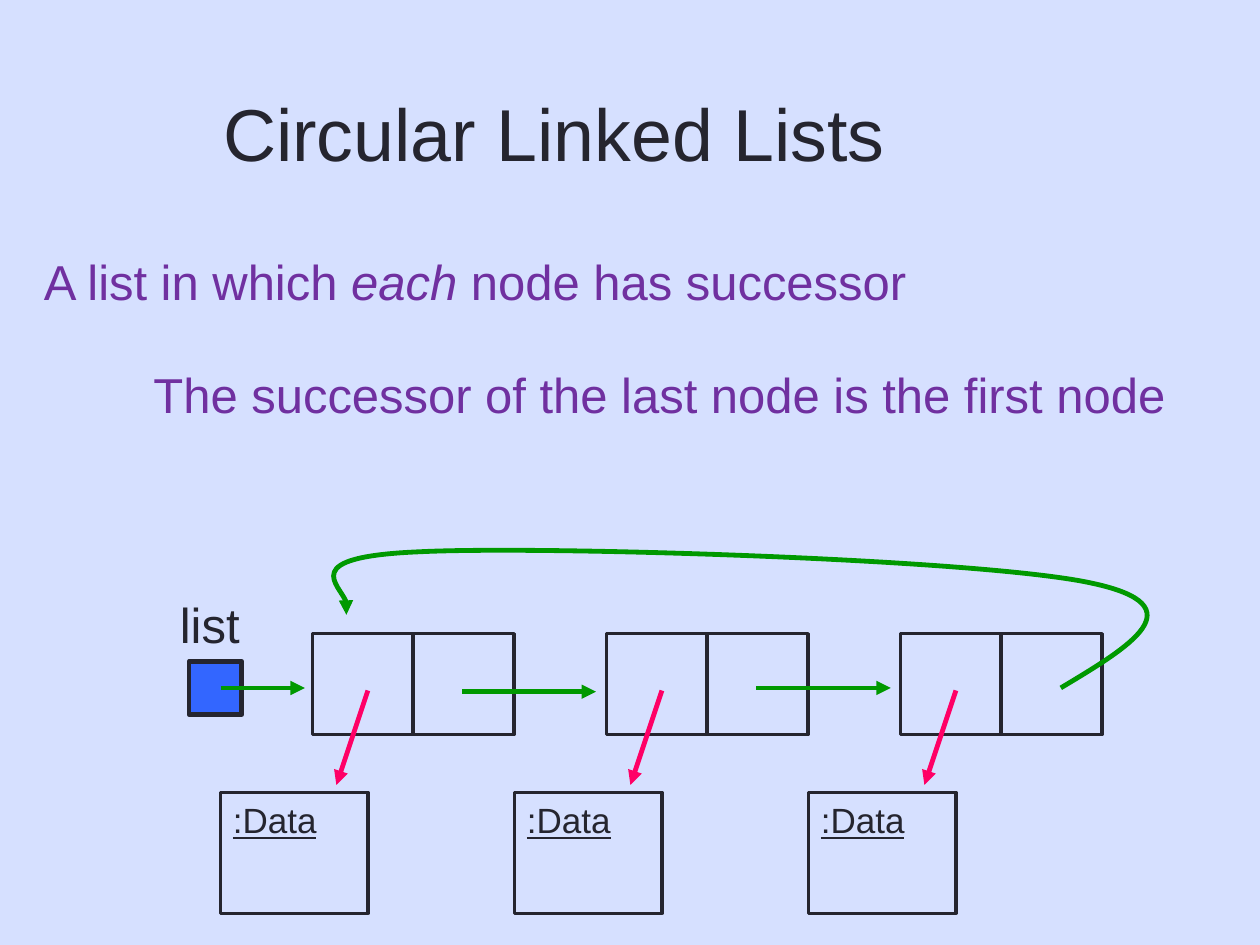
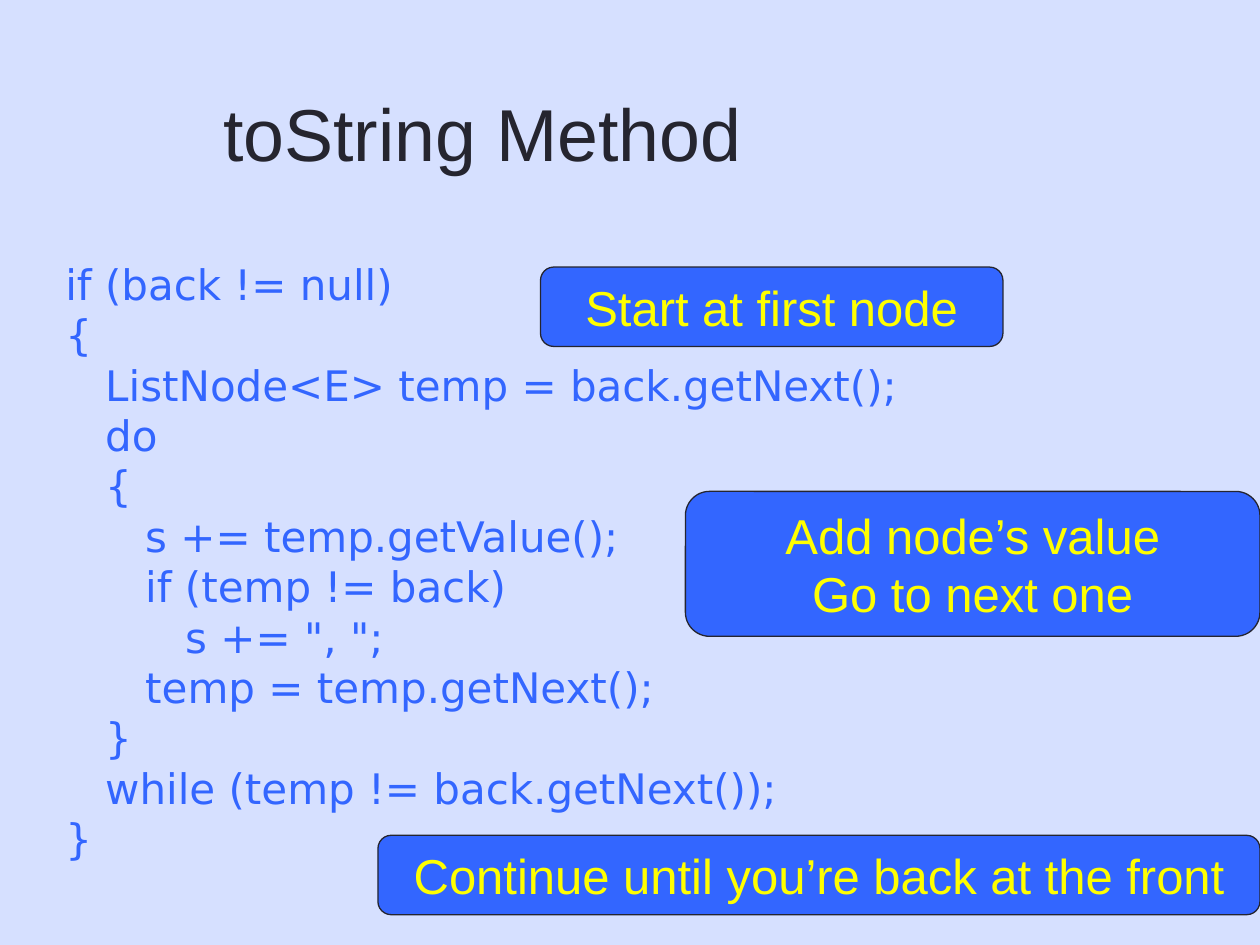
from dataclasses import dataclass

from lxml.etree import SubElement
from pptx import Presentation
from pptx.dml.color import RGBColor
from pptx.dml.line import LineFormat
from pptx.enum.shapes import MSO_CONNECTOR, MSO_SHAPE
from pptx.enum.text import MSO_ANCHOR, MSO_AUTO_SIZE, PP_ALIGN
from pptx.oxml.ns import qn
from pptx.shapes.autoshape import Shape
from pptx.slide import Slide, SlideLayout
from pptx.text.text import TextFrame, _Paragraph
from pptx.util import Inches, Pt


@dataclass(frozen=True)
class Theme:
    background: RGBColor = RGBColor(0xD6, 0xE0, 0xFF)
    ink: RGBColor = RGBColor(0x25, 0x25, 0x2F)
    blue: RGBColor = RGBColor(0x33, 0x66, 0xFF)
    purple: RGBColor = RGBColor(0x70, 0x30, 0xA0)
    yellow: RGBColor = RGBColor(0xFF, 0xFF, 0x00)
    green: RGBColor = RGBColor(0x00, 0x99, 0x00)
    pink: RGBColor = RGBColor(0xFF, 0x00, 0x66)
    font: str = "Arial"
    code_font: str = "DejaVu Sans"
    title_size: Pt = Pt(42)
    text_size: Pt = Pt(28)
    code_size: Pt = Pt(24)
    code_leading: Pt = Pt(28.8)
    label_size: Pt = Pt(20)
    arrow_width: Pt = Pt(2.75)
    box_width: Pt = Pt(2)
    callout_width: Pt = Pt(0.75)


@dataclass(frozen=True)
class Box:
    left: float
    top: float
    width: float
    height: float

    def shifted(self, dx: float) -> "Box":
        return Box(self.left + dx, self.top, self.width, self.height)

    def emu(self) -> tuple:
        return tuple(Inches(v) for v in (self.left, self.top, self.width, self.height))


@dataclass(frozen=True)
class Arrow:
    x1: float
    y1: float
    x2: float
    y2: float
    color: RGBColor

    def shifted(self, dx: float) -> "Arrow":
        return Arrow(self.x1 + dx, self.y1, self.x2 + dx, self.y2, self.color)


@dataclass(frozen=True)
class Callout:
    box: Box
    lines: tuple


THEME = Theme()
NODE_COUNT = 3
NODE_PITCH = 7 / 3
CELL = Box(2.48, 5.03, 0.8, 0.8)
DATA_BOX = Box(1.75, 6.29, 1.17, 0.96)
DATA_ARROW = Arrow(2.92, 5.48, 2.67, 6.23, THEME.pink)
LINK_ARROWS = (
    Arrow(1.75, 5.46, 2.42, 5.46, THEME.green),
    Arrow(3.67, 5.49, 4.73, 5.49, THEME.green),
    Arrow(6, 5.46, 7.07, 5.46, THEME.green),
)
RETURN_CURVE = (
    (8.42, 5.46),
    (8.97, 5.13), (9.51, 4.81), (8.67, 4.63),
    (7.82, 4.44), (4.32, 4.33), (3.33, 4.38),
    (2.35, 4.42), (2.85, 4.79), (2.75, 4.88),
)
CODE = """if (back != null)
{
   ListNode<E> temp = back.getNext();
   do
   {
      s += temp.getValue();
      if (temp != back)
         s += ", ";
      temp = temp.getNext();
   }
   while (temp != back.getNext());
}"""
CALLOUTS = (
    Callout(Box(4.29, 2.12, 3.67, 0.63), ("Start at first node",)),
    Callout(Box(5.44, 3.9, 4.56, 1.15), ("Add node’s value", "Go to next one")),
    Callout(Box(3, 6.63, 7, 0.63), ("Continue until you’re back at the front",)),
)


def style(p: _Paragraph, size: Pt, color: RGBColor, name: str = THEME.font,
          align: PP_ALIGN = PP_ALIGN.LEFT) -> None:
    p.alignment = align
    p.font.name = name
    p.font.size = size
    p.font.color.rgb = color


def add_text(s: Slide, box: Box) -> TextFrame:
    tf = s.shapes.add_textbox(*box.emu()).text_frame
    tf.word_wrap = True
    return tf


def set_line(line: LineFormat, color: RGBColor, width: Pt) -> None:
    line.color.rgb = color
    line.width = width


def add_box(s: Slide, box: Box, width: Pt, fill: RGBColor | None = None,
            kind: MSO_SHAPE = MSO_SHAPE.RECTANGLE) -> Shape:
    sp = s.shapes.add_shape(kind, *box.emu())
    sp.shadow.inherit = False
    if fill is None:
        sp.fill.background()
    else:
        sp.fill.solid()
        sp.fill.fore_color.rgb = fill
    set_line(sp.line, THEME.ink, width)
    return sp


def add_arrowhead(line: LineFormat) -> None:
    SubElement(line._get_or_add_ln(), qn("a:tailEnd"), type="triangle")


def add_arrow(s: Slide, arrow: Arrow) -> None:
    ends = (Inches(v) for v in (arrow.x1, arrow.y1, arrow.x2, arrow.y2))
    cxn = s.shapes.add_connector(MSO_CONNECTOR.STRAIGHT, *ends)
    set_line(cxn.line, arrow.color, THEME.arrow_width)
    add_arrowhead(cxn.line)
    SubElement(cxn._element.spPr, qn("a:effectLst"))


def add_curved_arrow(s: Slide, points: tuple, color: RGBColor) -> None:
    start, *controls = [(Inches(x), Inches(y)) for x, y in points]
    builder = s.shapes.build_freeform(*start)
    builder.add_line_segments(controls, close=False)
    sp = builder.convert_to_shape()
    sp.shadow.inherit = False
    sp.fill.background()
    set_line(sp.line, color, THEME.arrow_width)
    add_arrowhead(sp.line)
    outline = next(sp._element.iter(qn("a:path")))
    segments = outline.findall(qn("a:lnTo"))
    for i in range(0, len(segments), 3):
        curve = SubElement(outline, qn("a:cubicBezTo"))
        for segment in segments[i:i + 3]:
            curve.append(segment[0])
            outline.remove(segment)


def add_titled_slide(prs: Presentation, layout: SlideLayout, title: str) -> Slide:
    s = prs.slides.add_slide(layout)
    tf = s.shapes.title.text_frame
    tf.text = title
    tf.vertical_anchor = MSO_ANCHOR.MIDDLE
    tf.auto_size = MSO_AUTO_SIZE.NONE
    style(tf.paragraphs[0], THEME.title_size, THEME.ink)
    return s


def add_statement(s: Slide, box: Box, *parts: str, italic: str = "") -> None:
    p = add_text(s, box).paragraphs[0]
    style(p, THEME.text_size, THEME.purple)
    for part in parts:
        r = p.add_run()
        r.text = part
        if part == italic:
            r.font.italic = True


def add_node(s: Slide, dx: float) -> None:
    cell = CELL.shifted(dx)
    add_box(s, cell, THEME.box_width)
    add_box(s, cell.shifted(CELL.width), THEME.box_width)
    tf = add_box(s, DATA_BOX.shifted(dx), THEME.box_width).text_frame
    tf.text = ":Data"
    tf.vertical_anchor = MSO_ANCHOR.TOP
    style(tf.paragraphs[0], THEME.label_size, THEME.ink)
    tf.paragraphs[0].font.underline = True
    add_arrow(s, DATA_ARROW.shifted(dx))


def add_callout(s: Slide, callout: Callout) -> None:
    sp = add_box(s, callout.box, THEME.callout_width, THEME.blue,
                 MSO_SHAPE.ROUNDED_RECTANGLE)
    tf = sp.text_frame
    tf.text = "\n".join(callout.lines)
    tf.vertical_anchor = MSO_ANCHOR.MIDDLE
    for p in tf.paragraphs:
        style(p, THEME.text_size, THEME.yellow, align=PP_ALIGN.CENTER)


def build_list_slide(prs: Presentation, layout: SlideLayout) -> None:
    s = add_titled_slide(prs, layout, "Circular Linked Lists")
    add_statement(s, Box(0.25, 1.95, 7.09, 0.57),
                  "A list in which ", "each", " node has successor", italic="each")
    add_statement(s, Box(1.12, 2.84, 8.3, 0.57),
                  "The successor of the last node is the first node")
    tf = add_text(s, Box(1.25, 4.67, 0.83, 0.57))
    tf.text = "list"
    style(tf.paragraphs[0], THEME.text_size, THEME.ink, align=PP_ALIGN.CENTER)
    add_box(s, Box(1.5, 5.25, 0.42, 0.42), THEME.arrow_width, THEME.blue)
    for i in range(NODE_COUNT):
        add_node(s, i * NODE_PITCH)
    for arrow in LINK_ARROWS:
        add_arrow(s, arrow)
    add_curved_arrow(s, RETURN_CURVE, THEME.green)


def build_code_slide(prs: Presentation, layout: SlideLayout) -> None:
    s = add_titled_slide(prs, layout, "toString Method")
    tf = add_text(s, Box(0.42, 2, 8.67, 4.95))
    tf.text = CODE
    for p in tf.paragraphs:
        p.line_spacing = THEME.code_leading
        style(p, THEME.code_size, THEME.blue, THEME.code_font)
    for callout in CALLOUTS:
        add_callout(s, callout)


def main() -> None:
    prs = Presentation()
    prs.slide_width, prs.slide_height = Inches(10), Inches(7.5)
    fill = prs.slide_master.background.fill
    fill.solid()
    fill.fore_color.rgb = THEME.background
    layout = prs.slide_layouts.get_by_name("Title Only")
    title = layout.placeholders[0]
    title.left, title.top, title.width, title.height = Box(1.67, 0.21, 7.67, 1.67).emu()
    build_list_slide(prs, layout)
    build_code_slide(prs, layout)
    prs.save("out.pptx")


if __name__ == "__main__":
    main()
